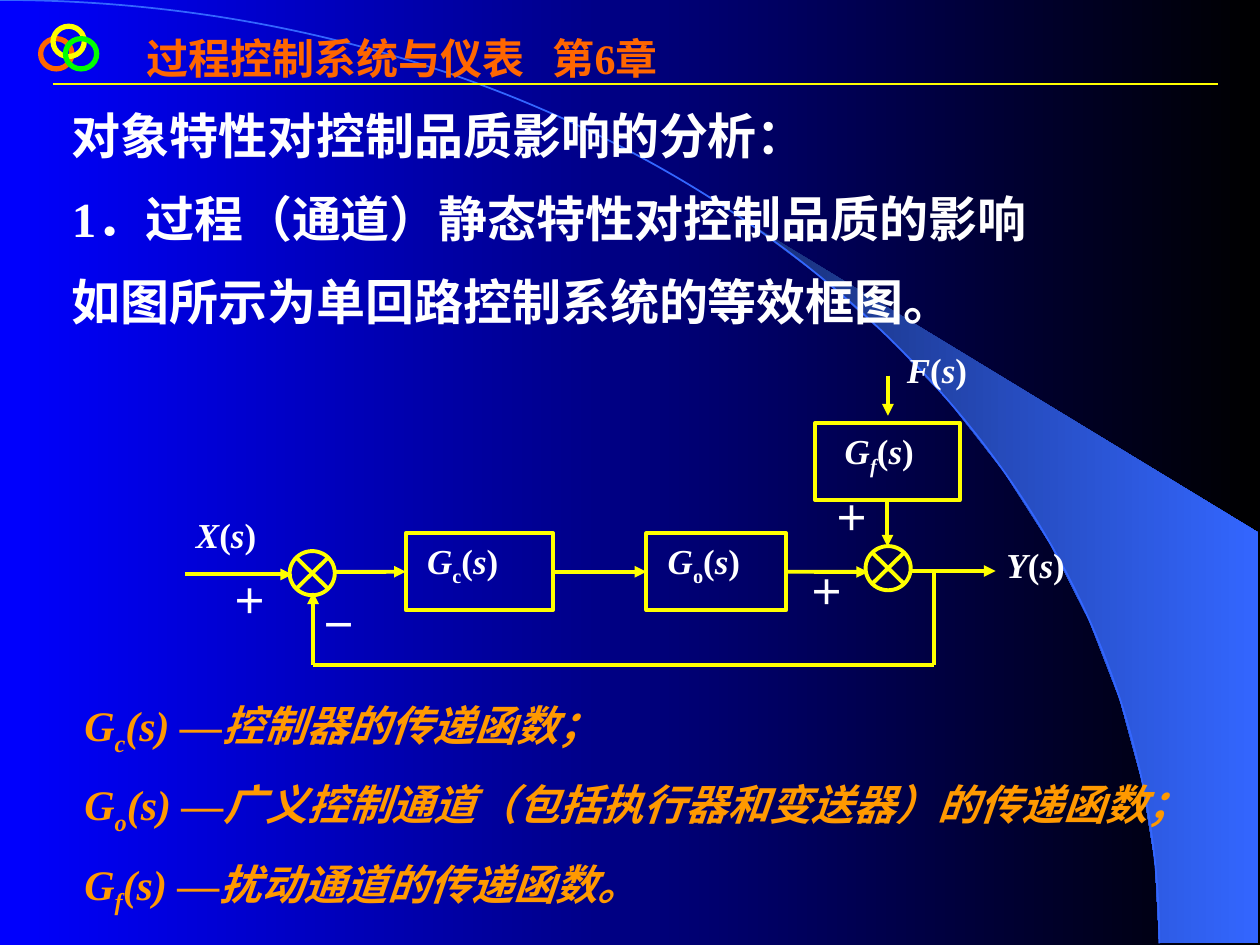
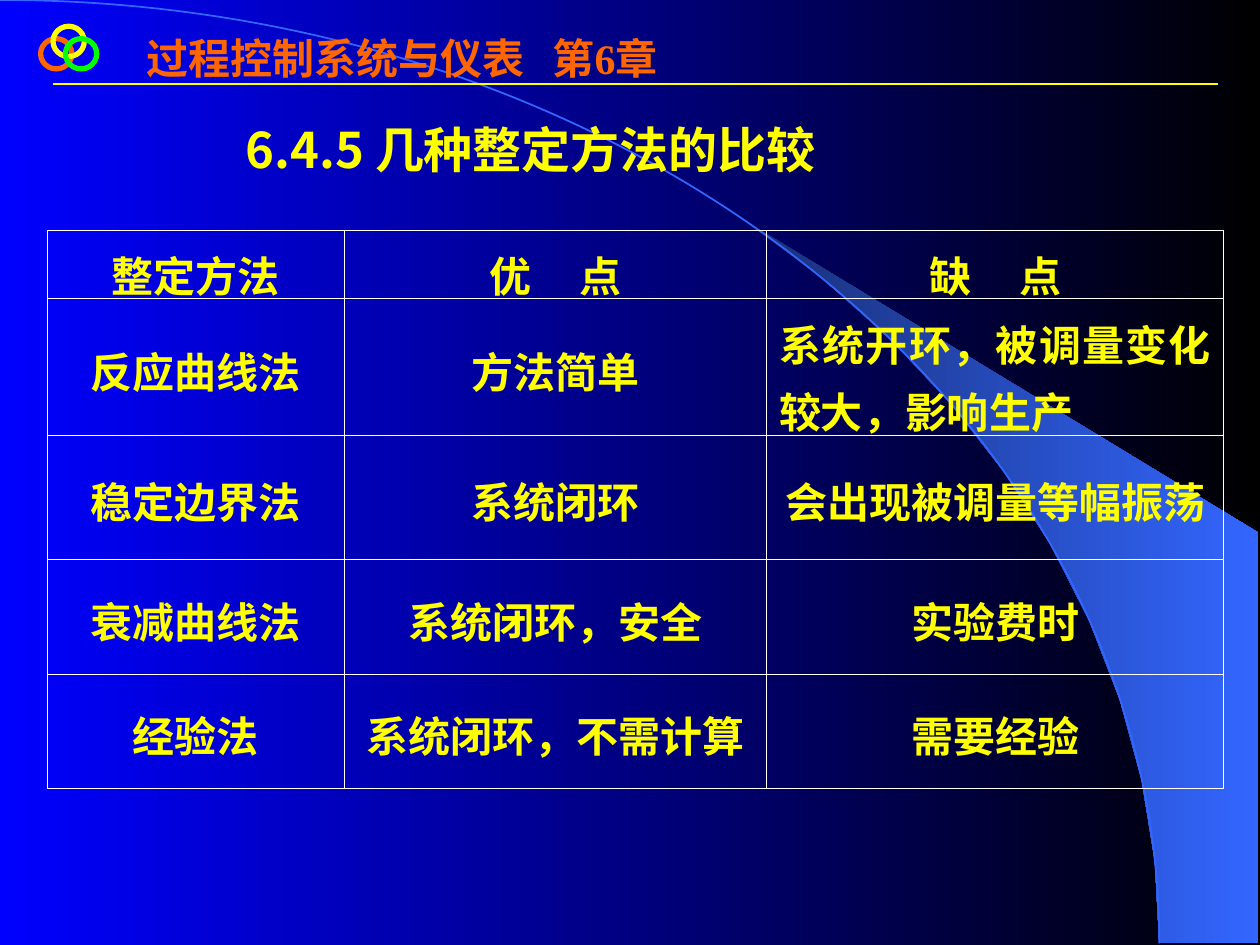
import math

import pptx
import pptx.dml.color
import pptx.enum.shapes
import pptx.enum.text
import pptx.oxml.ns
import pptx.util
from lxml import etree

Cm = pptx.util.Cm
Pt = pptx.util.Pt
qn = pptx.oxml.ns.qn
rgb = pptx.dml.color.RGBColor.from_string
SHAPE = pptx.enum.shapes.MSO_SHAPE
STRAIGHT = pptx.enum.shapes.MSO_CONNECTOR.STRAIGHT
ALIGN = pptx.enum.text.PP_ALIGN
ANCHOR = pptx.enum.text.MSO_ANCHOR

LATIN_FONT = "Times New Roman"
CHINESE_FONT = "Noto Sans CJK SC"
YELLOW, WHITE, ORANGE, AMBER = "FFFF00", "FFFFFF", "FF6600", "FF9900"
BLUE, ARC_BLUE = "0000FF", "3366FF"
ITALIC, UPRIGHT = {"i": "1"}, {"i": "0"}
SUBSCRIPT = {"baseline": "-25000"}


def write(frame, *paragraphs, size, color, font=LATIN_FONT, italic=False,
          align=ALIGN.LEFT, anchor=ANCHOR.TOP, line_spacing=1.0, space_before=0,
          margin_left=0.25):
    """Fill a frame; a paragraph is a string or a list of (text, run attributes)."""
    frame.word_wrap = True
    frame.auto_size = pptx.enum.text.MSO_AUTO_SIZE.NONE
    frame.vertical_anchor = anchor
    frame.margin_left = Cm(margin_left)
    for index, runs in enumerate(paragraphs):
        paragraph = frame.add_paragraph() if index else frame.paragraphs[0]
        properties = paragraph._p.get_or_add_pPr()
        properties.set("marL", "0")
        properties.set("indent", "0")
        etree.SubElement(properties, qn("a:buNone"))
        paragraph.alignment = align
        paragraph.line_spacing = line_spacing
        paragraph.space_before = Pt(space_before if index else 0)
        for text, attributes in [(runs, {})] if isinstance(runs, str) else runs:
            run = paragraph.add_run()
            run.text = text
            run.font.name = font
            run.font.size = Pt(size)
            run.font.bold = True
            run.font.italic = italic
            run.font.color.rgb = rgb(color)
            run_properties = run._r.get_or_add_rPr()
            etree.SubElement(run_properties, qn("a:ea"), typeface=CHINESE_FONT)
            for name, value in attributes.items():
                run_properties.set(name, value)


def outline(shape, color=None, width=2.25):
    """Leave a shape or connector with only its line, or with none."""
    if hasattr(shape, "fill"):
        shape.fill.background()
    if color:
        shape.line.color.rgb = rgb(color)
        shape.line.width = Pt(width)
    else:
        shape.line.fill.background()
    etree.SubElement(shape.element.spPr, qn("a:effectLst"))


presentation = pptx.Presentation()
presentation.slide_width = Cm(25.4)
presentation.slide_height = Cm(19.05)
master = presentation.slide_master
diagram_slide = presentation.slides.add_slide(presentation.slide_layouts[1])
table_slide = presentation.slides.add_slide(presentation.slide_layouts[5])

# Shared decoration: made on the first slide, then moved to the master
shapes = diagram_slide.shapes
arc_width, arc_height = 23.37, 19.02
band_points = [(Cm(arc_width * math.sin(math.radians(angle))),
                Cm(arc_height * (1 - math.cos(math.radians(angle)))))
               for angle in range(40, 91, 5)]
band_points += [(Cm(25.37), Cm(arc_height)), (Cm(25.37), Cm(10.74))]
builder = shapes.build_freeform(*band_points[0])
builder.add_line_segments(band_points[1:])
band = builder.convert_to_shape()
outline(band)

builder = shapes.build_freeform(0, 0)
builder.add_line_segments([(Cm(arc_width), Cm(arc_height))], close=False)
arc = builder.convert_to_shape()
outline(arc, ARC_BLUE, 1)
segment = next(arc.element.iter(qn("a:lnTo")))
segment.tag = qn("a:cubicBezTo")
for position, (x, y) in enumerate(((12.9, 0), (arc_width, 8.51))):
    segment.insert(position, segment.makeelement(qn("a:pt"), x=str(Cm(x)), y=str(Cm(y))))

for fill, colors in ((master.background.fill, (BLUE, "000000")),
                     (band.fill, ("182F76", ARC_BLUE))):
    fill.gradient()
    fill.gradient_angle = 0
    for stop, color in zip(fill.gradient_stops, colors):
        stop.color.rgb = rgb(color)

header_line = shapes.add_connector(STRAIGHT, Cm(1.06), Cm(1.69), Cm(24.56), Cm(1.69))
outline(header_line, YELLOW, 1.5)
header = shapes.add_textbox(Cm(2.71), Cm(0.53), Cm(11.4), Cm(2.29))
write(header.text_frame, [("过程控制系统与仪表", {}), (" ", {"spc": "1050"}), ("第6章", {})],
      size=24, color=ORANGE)
decoration = [band, arc, header_line, header]
for left, top, color in ((0.82, 0.78, ORANGE), (1.07, 0.53, YELLOW), (1.32, 0.78, "00FF00")):
    ring = shapes.add_shape(SHAPE.OVAL, Cm(left), Cm(top), Cm(0.63), Cm(0.61))
    outline(ring, color, 3)
    decoration.append(ring)
for shape in decoration:
    master.shapes.element.append(shape.element)

# Slide 1: block diagram of the control loop
title = shapes.title
title.left, title.top, title.width, title.height = Cm(1.2), Cm(1.76), Cm(22.5), Cm(5.03)
write(title.text_frame,
      "对象特性对控制品质影响的分析：",
      "1．过程（通道）静态特性对控制品质的影响",
      "如图所示为单回路控制系统的等效框图。",
      size=28, color=WHITE, anchor=ANCHOR.MIDDLE, line_spacing=1.2, space_before=7)

legend = diagram_slide.placeholders[1]
legend.left, legend.top, legend.width, legend.height = Cm(1.45), Cm(13.74), Cm(23.37), Cm(4.85)
meanings = (("c", "控制器的传递函数；"),
            ("o", "广义控制通道（包括执行器和变送器）的传递函数；"),
            ("f", "扰动通道的传递函数。"))
write(legend.text_frame,
      *[[("G", {}), (index, SUBSCRIPT), ("(s) —" + meaning, {})] for index, meaning in meanings],
      size=24, color=AMBER, italic=True, anchor=ANCHOR.MIDDLE, line_spacing=1.2, space_before=6)

of_s = [("(", UPRIGHT), ("s", ITALIC), (")", UPRIGHT)]
blocks = {}
for index, left, top, width, margin, slant in (("c", 8.18, 10.75, 2.97, 0.43, UPRIGHT),
                                               ("f", 16.43, 8.53, 2.92, 0.6, ITALIC),
                                               ("o", 13.03, 10.75, 2.82, 0.43, UPRIGHT)):
    block = shapes.add_shape(SHAPE.RECTANGLE, Cm(left), Cm(top), Cm(width), Cm(1.55))
    outline(block, YELLOW)
    write(block.text_frame, [("G", ITALIC), (index, {**SUBSCRIPT, **slant})] + of_s,
          size=20, color=WHITE, margin_left=margin)
    blocks[index] = block

for left, top in ((5.84, 11.11), (17.45, 11.01)):
    junction = shapes.add_shape(SHAPE.FLOWCHART_SUMMING_JUNCTION,
                                Cm(left), Cm(top), Cm(0.91), Cm(0.89))
    outline(junction, YELLOW)

# Start, end, arrowhead, joined block side at the start and at the end
signals = (
    ((3.73, 11.58), (5.89, 11.58), True, None, None),
    ((6.76, 11.53), (8.18, 11.53), True, None, ("c", 1)),
    ((11.15, 11.53), (13.03, 11.53), True, ("c", 3), ("o", 1)),
    ((15.85, 11.53), (17.5, 11.53), True, ("o", 3), None),
    ((17.9, 7.57), (17.9, 8.38), True, None, None),
    ((17.89, 10.08), (17.89, 11.02), True, ("f", 2), None),
    ((18.36, 11.51), (20.07, 11.51), True, None, None),
    ((18.82, 11.51), (18.82, 13.4), False, None, None),
    ((18.82, 13.4), (6.31, 13.4), False, None, None),
    ((6.31, 13.4), (6.31, 11.94), True, None, None),
)
for start, end, arrow, begin_side, end_side in signals:
    signal = shapes.add_connector(STRAIGHT, *map(Cm, start + end))
    if begin_side:
        signal.begin_connect(blocks[begin_side[0]], begin_side[1])
    if end_side:
        signal.end_connect(blocks[end_side[0]], end_side[1])
    outline(signal, YELLOW)
    if arrow:
        etree.SubElement(signal.element.spPr.find(qn("a:ln")), qn("a:tailEnd"), type="triangle")

for text, left, top, width, margin in (("X", 3.7, 10.23, 2.31, 0.25),
                                       ("Y", 20.04, 10.83, 2.16, 0.25),
                                       ("F", 18.03, 6.91, 2.11, 0.25),
                                       ("＋", 4.44, 11.55, 1.5, 0.25),
                                       ("＋", 16.58, 9.88, 1.5, 0.25),
                                       ("＋", 16.07, 11.38, 1.5, 0.25),
                                       ("－", 6.06, 12.05, 1.88, 0.43)):
    label = shapes.add_textbox(Cm(left), Cm(top), Cm(width), Cm(1.2))
    write(label.text_frame, [(text, ITALIC)] + of_s if text.isalpha() else text,
          size=20, color=WHITE, margin_left=margin)

# Slide 2: comparison of tuning methods
title = table_slide.shapes.title
title.left, title.top, title.width, title.height = Cm(4.7), Cm(2.29), Cm(15.88), Cm(1.45)
write(title.text_frame, "6.4.5 几种整定方法的比较", size=28, color=YELLOW, font=CHINESE_FONT)

wide_space = (" ", {"spc": "2200"})
rows = (
    ("整定方法", [("优", {}), wide_space, ("点", {})], [("缺", {}), wide_space, ("点", {})]),
    ("反应曲线法", "方法简单", "系统开环，被调量变化较大，影响生产"),
    ("稳定边界法", "系统闭环", "会出现被调量等幅振荡"),
    ("衰减曲线法", "系统闭环，安全", "实验费时"),
    ("经验法", "系统闭环，不需计算", "需要经验"),
)
table = table_slide.shapes.add_table(len(rows), 3, Cm(0.95), Cm(4.65), Cm(23.72), Cm(11.25)).table
table.first_row = False
table.horz_banding = False
for column, width in zip(table.columns, (5.99, 8.51, 9.22)):
    column.width = Cm(width)
for row, height, texts in zip(table.rows, (1.37, 2.75, 2.51, 2.31, 2.31), rows):
    row.height = Cm(height)
    for cell, text in zip(row.cells, texts):
        cell.vertical_anchor = ANCHOR.MIDDLE
        cell_properties = cell._tc.get_or_add_tcPr()
        for side in ("a:lnL", "a:lnR", "a:lnT", "a:lnB"):
            border = etree.SubElement(cell_properties, qn(side), w=str(Pt(0.45)))
            border_fill = etree.SubElement(border, qn("a:solidFill"))
            etree.SubElement(border_fill, qn("a:srgbClr"), val=WHITE)
        cell.fill.background()
        long_text = len(text) > 12
        if long_text or texts is rows[0]:
            cell.margin_bottom = Cm(-0.13)  # lets tall text reach the row's lower border
        write(cell.text_frame, text, size=24, color=YELLOW, line_spacing=1.1,
              align=ALIGN.JUSTIFY if long_text else ALIGN.CENTER)

presentation.save("out.pptx")
